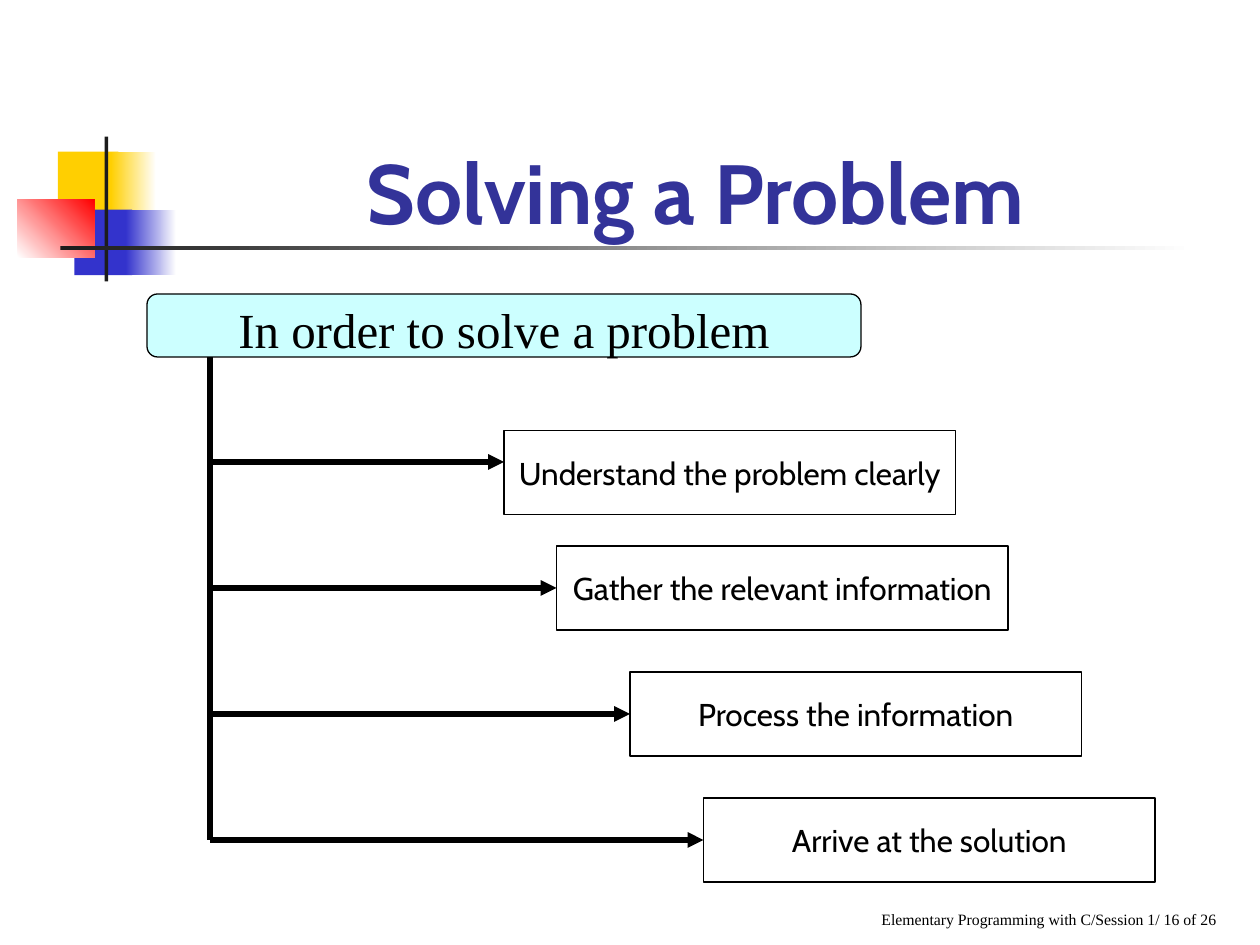
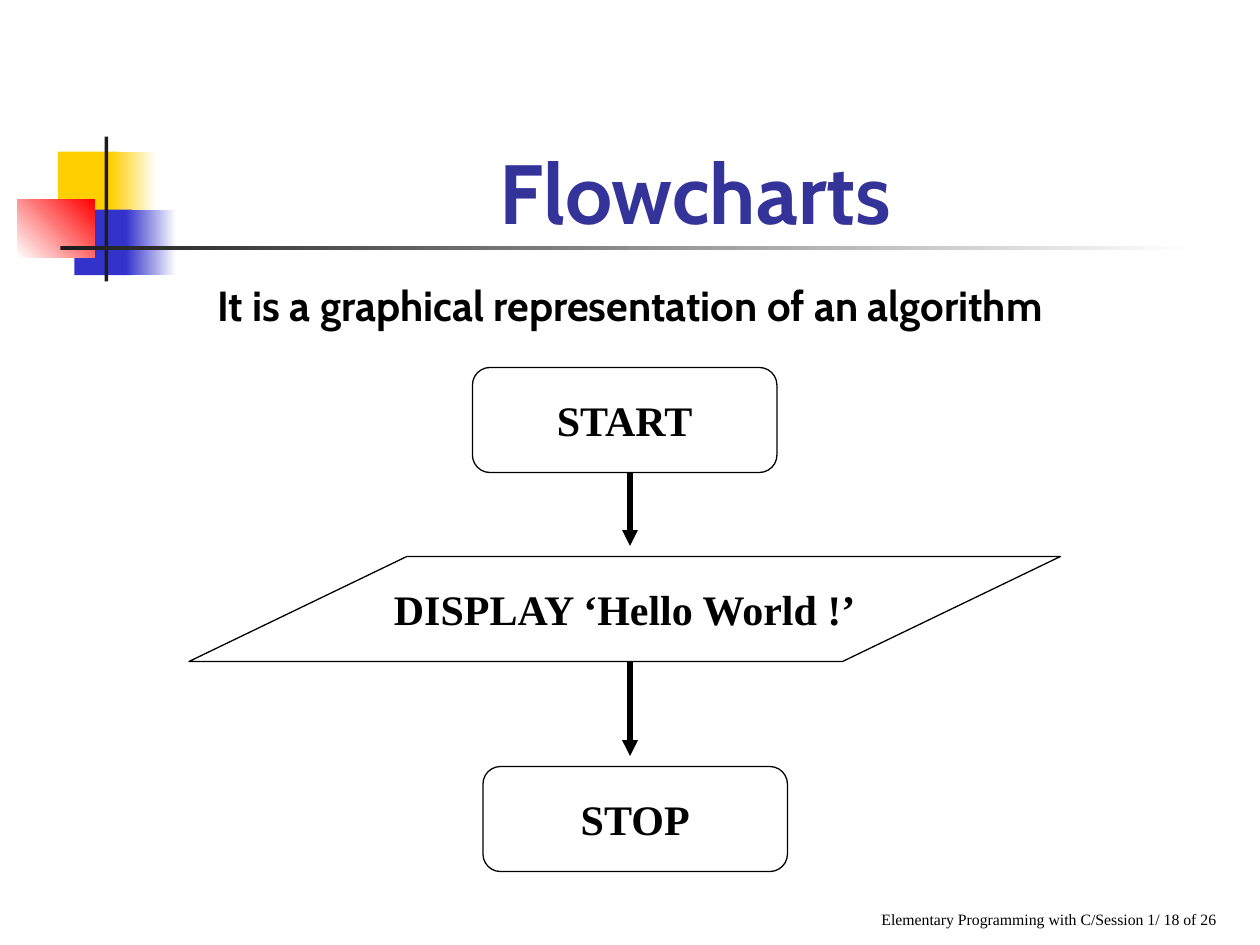
from pptx import Presentation
from pptx.dml.color import RGBColor as Rgb
from pptx.enum.shapes import MSO_CONNECTOR as Link, MSO_SHAPE as Kind
from pptx.enum.text import MSO_ANCHOR as Anchor, PP_ALIGN as Align
from pptx.oxml.ns import qn
from pptx.util import Inches, Pt
from lxml.etree import SubElement as sub

COLS, ROWS = 120, 90
WIDE, HIGH = Inches(10), Inches(7.5)
HUES = {
    "black": "000000", "white": "FFFFFF", "title": "333399", "aqua": "CCFFFF",
    "gold": "FFCF01", "blue": "3333CC", "red": "FF0000", "ink": "1C1C1C",
}
SANS, SERIF = "Cabin", "Times New Roman"


def hue(name):
    return Rgb.from_string(HUES[name])


def place(x, y):
    return round(x * WIDE / COLS), round(y * HIGH / ROWS)


def frame(box):
    x, y, w, h = box
    return *place(x, y), *place(w, h)


def write(shape, text, size, font, bold=False, color="black",
          align=Align.CENTER, anchor=Anchor.MIDDLE, wrap=True):
    body = shape.text_frame
    body.text = text
    body.word_wrap = wrap
    body.vertical_anchor = anchor
    line = body.paragraphs[0]
    line.alignment = align
    face = line.runs[0].font
    face.size, face.name, face.bold = Pt(size), font, bold
    face.color.rgb = hue(color)
    return body


def label(slide, box, text, size, font, **style):
    return write(slide.shapes.add_textbox(*frame(box)), text, size, font, **style)


def block(slide, box, fill, fade=None, angle=0, kind=Kind.RECTANGLE):
    shape = slide.shapes.add_shape(kind, *frame(box))
    shape.shadow.inherit = False
    shape.line.fill.background()
    if fade:
        shape.fill.gradient()
        shape.fill.gradient_angle = angle
        for stop, name in zip(shape.fill.gradient_stops, (fill, fade)):
            stop.color.rgb = hue(name)
    else:
        shape.fill.solid()
        shape.fill.fore_color.rgb = hue(fill)
    return shape


def node(slide, box, text, size, font, kind=Kind.RECTANGLE, fill="white",
         bend=None, bold=False):
    shape = block(slide, box, fill, kind=kind)
    shape.line.color.rgb = hue("black")
    shape.line.width = Pt(0.75)
    if bend:
        shape.adjustments[0] = bend
    return write(shape, text, size, font, bold, wrap=False)


def link(slide, start, end, arrow=True):
    line = slide.shapes.add_connector(Link.STRAIGHT, *place(*start), *place(*end))
    line.line.color.rgb = hue("black")
    line.line.width = Pt(3)
    if arrow:
        sub(line.line._get_or_add_ln(), qn("a:tailEnd"), type="triangle")
    sub(line._element.spPr, qn("a:effectLst"))


def badge(slide, box):
    x, y, w, h = box
    parts = [
        (0.32, 0.12, 0.48, 0.52, "gold", None, 0),
        (0.74, 0.12, 0.36, 0.52, "gold", "white", 0),
        (0.45, 0.58, 0.46, 0.52, "blue", None, 0),
        (0.86, 0.58, 0.4, 0.52, "blue", "white", 0),
        (0, 0.5, 0.61, 0.46, "white", "red", 45),
        (0.69, 0, 0.03, 1.15, "ink", None, 0),
        (0.34, 0.87, 9, 0.03, "ink", "white", 0),
    ]
    for left, top, wide, high, *paint in parts:
        spot = x + left * w, y + top * h, wide * w, high * h
        block(slide, spot, *paint)


def base(deck, title, page):
    slide = deck.slides.add_slide(deck.slide_layouts[6])
    badge(slide, (1.68, 13, 12, 12))
    label(slide, (44, 83, 73, 6),
          f"Elementary Programming with C/Session 1/ {page} of 26",
          9, SERIF, align=Align.RIGHT, anchor=Anchor.BOTTOM)
    head = label(slide, (15.12, 8, 102.24, 15), title, 48, SANS,
                 bold=True, color="title", anchor=Anchor.BOTTOM)
    head.margin_bottom = 0
    return slide


def steps(slide, box):
    x, y, w, h = box
    head = node(slide, (x, y, 68, 6), "In order to solve a problem", 28, SERIF,
                Kind.ROUNDED_RECTANGLE, "aqua", 0.167)
    head.margin_top = Inches(0.1)
    stem = x + 6
    tasks = [
        ("Understand the problem clearly", 34, 13),
        ("Gather the relevant information", 39, 12),
        ("Process the information", 46, 12),
        ("Arrive at the solution", 53, 12),
    ]
    for i, (text, shift, drop) in enumerate(tasks):
        row = y + 12 * i
        link(slide, (stem, row + 16), (x + shift, row + 16))
        node(slide, (x + shift, row + drop, 43, 8), text, 18, SANS)
    link(slide, (stem, y + 6), (stem, y + h - 4), arrow=False)


def flow(slide, box):
    x, y, w, h = box
    label(slide, (x, y, w, 6), "It is a graphical representation of an algorithm",
          24, SANS, bold=True, anchor=Anchor.TOP)
    nodes = [
        ("START", 36, 9, 29, Kind.ROUNDED_RECTANGLE, 0.167),
        ("DISPLAY ‘Hello World !’", 9, 27, 83, Kind.PARALLELOGRAM, 2.075),
        ("STOP", 37, 47, 29, Kind.ROUNDED_RECTANGLE, 0.167),
    ]
    for text, left, top, wide, kind, bend in nodes:
        node(slide, (x + left, y + top, wide, 10), text, 24, SERIF,
             kind, bend=bend, bold=True)
    mid = x + w / 2
    for (_, _, top, *_), (_, _, below, *_) in zip(nodes, nodes[1:]):
        link(slide, (mid, y + top + 10), (mid, y + below - 1))


def main():
    deck = Presentation()
    deck.slide_width, deck.slide_height = WIDE, HIGH
    steps(base(deck, "Solving a Problem", 16), (14, 28, 96, 56))
    flow(base(deck, "Flowcharts", 18), (9, 26, 102, 57))
    deck.save("out.pptx")


if __name__ == "__main__":
    main()
